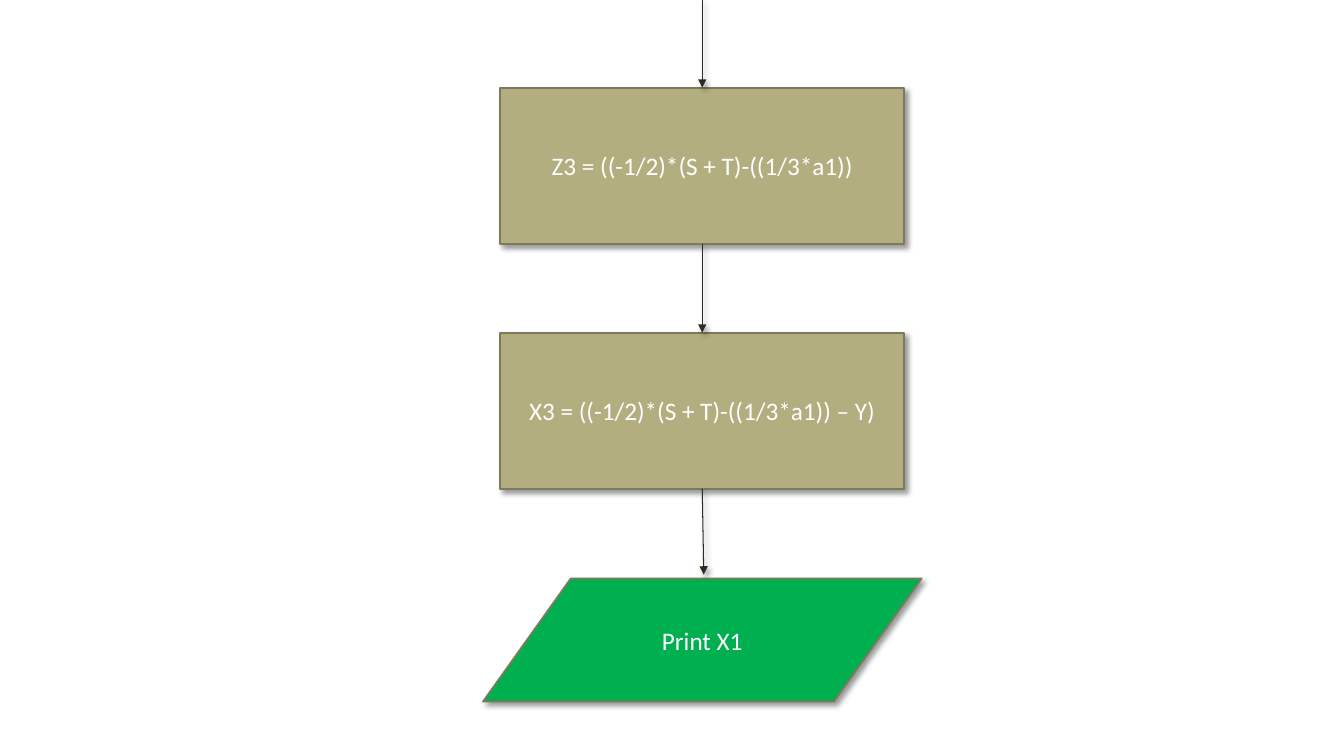
from dataclasses import dataclass
from typing import Optional

import pptx
import pptx.dml.color
import pptx.enum.shapes
import pptx.enum.text
import pptx.oxml
import pptx.oxml.ns
import pptx.shapes.autoshape
import pptx.shapes.connector
import pptx.slide
import pptx.util

Inches = pptx.util.Inches
Pt = pptx.util.Pt
RGBColor = pptx.dml.color.RGBColor
MSO_SHAPE = pptx.enum.shapes.MSO_SHAPE

KHAKI = RGBColor(0xB2, 0xAE, 0x7F)
GREEN = RGBColor(0x00, 0xB0, 0x50)
OUTLINE = RGBColor(0x7D, 0x7A, 0x5C)
ARROW = RGBColor(0x2E, 0x2B, 0x21)
WHITE = RGBColor(0xFF, 0xFF, 0xFF)

TOP, BOTTOM = 0, 2
CENTER_X = 6.965
NS = pptx.oxml.ns.nsdecls("a")
SHADOW_XML = (
    f'<a:effectLst {NS}><a:outerShdw blurRad="{Pt(4)}" dist="{Pt(3)}" '
    'dir="2700000" algn="tl" rotWithShape="0"><a:srgbClr val="000000">'
    '<a:alpha val="40000"/></a:srgbClr></a:outerShdw></a:effectLst>'
)


@dataclass(frozen=True)
class Step:
    text: str
    top: float
    width: float = 4.01
    height: float = 1.55
    kind: MSO_SHAPE = MSO_SHAPE.RECTANGLE
    fill: RGBColor = KHAKI


@dataclass(frozen=True)
class Arrow:
    """An arrow between step indexes; an end without a step stays at its point."""
    start: tuple[float, float]
    end: tuple[float, float]
    source: Optional[int] = None
    target: Optional[int] = None


STEPS = [
    Step("Z3 = ((-1/2)*(S + T)-((1/3*a1))", 0.87),
    Step("X3 = ((-1/2)*(S + T)-((1/3*a1)) – Y)", 3.3),
    Step("Print X1", 5.74, 4.35, 1.22, MSO_SHAPE.FLOWCHART_DATA, GREEN),
]
ARROWS = [
    Arrow((CENTER_X, 0), (CENTER_X, 0.87), target=0),
    Arrow((CENTER_X, 2.42), (CENTER_X, 3.3), source=0, target=1),
    Arrow((CENTER_X, 4.85), (6.98, 5.7), source=1),
]


def add_step(slide: pptx.slide.Slide, step: Step) -> pptx.shapes.autoshape.Shape:
    sp = slide.shapes.add_shape(
        step.kind, Inches(CENTER_X - step.width / 2), Inches(step.top),
        Inches(step.width), Inches(step.height))
    sp.fill.solid()
    sp.fill.fore_color.rgb = step.fill
    sp.line.color.rgb = OUTLINE
    sp.line.width = Pt(1.25)
    sp._element.spPr.append(pptx.oxml.parse_xml(SHADOW_XML))
    tf = sp.text_frame
    tf.word_wrap = True
    tf.vertical_anchor = pptx.enum.text.MSO_ANCHOR.MIDDLE
    p = tf.paragraphs[0]
    p.alignment = pptx.enum.text.PP_ALIGN.CENTER
    r = p.add_run()
    r.text = step.text
    r.font.name = "Calibri"
    r.font.size = Pt(18)
    r.font.color.rgb = WHITE
    return sp


def add_arrow(slide: pptx.slide.Slide, arrow: Arrow,
              shapes: list[pptx.shapes.autoshape.Shape]
              ) -> pptx.shapes.connector.Connector:
    cxn = slide.shapes.add_connector(
        pptx.enum.shapes.MSO_CONNECTOR.STRAIGHT,
        *(Inches(v) for v in arrow.start + arrow.end))
    if arrow.source is not None:
        cxn.begin_connect(shapes[arrow.source], BOTTOM)
    if arrow.target is not None:
        cxn.end_connect(shapes[arrow.target], TOP)
    cxn.line.color.rgb = ARROW
    cxn.line.width = Pt(0.75)
    cxn.line._get_or_add_ln().append(
        pptx.oxml.parse_xml(f'<a:tailEnd {NS} type="triangle"/>'))
    cxn._element.spPr.append(pptx.oxml.parse_xml(SHADOW_XML))
    return cxn


def main() -> None:
    prs = pptx.Presentation()
    prs.slide_width = Inches(13.33)
    prs.slide_height = Inches(7.5)
    slide = prs.slides.add_slide(prs.slide_layouts[6])
    shapes = [add_step(slide, step) for step in STEPS]
    for arrow in ARROWS:
        add_arrow(slide, arrow, shapes)
    prs.save("out.pptx")


if __name__ == "__main__":
    main()
